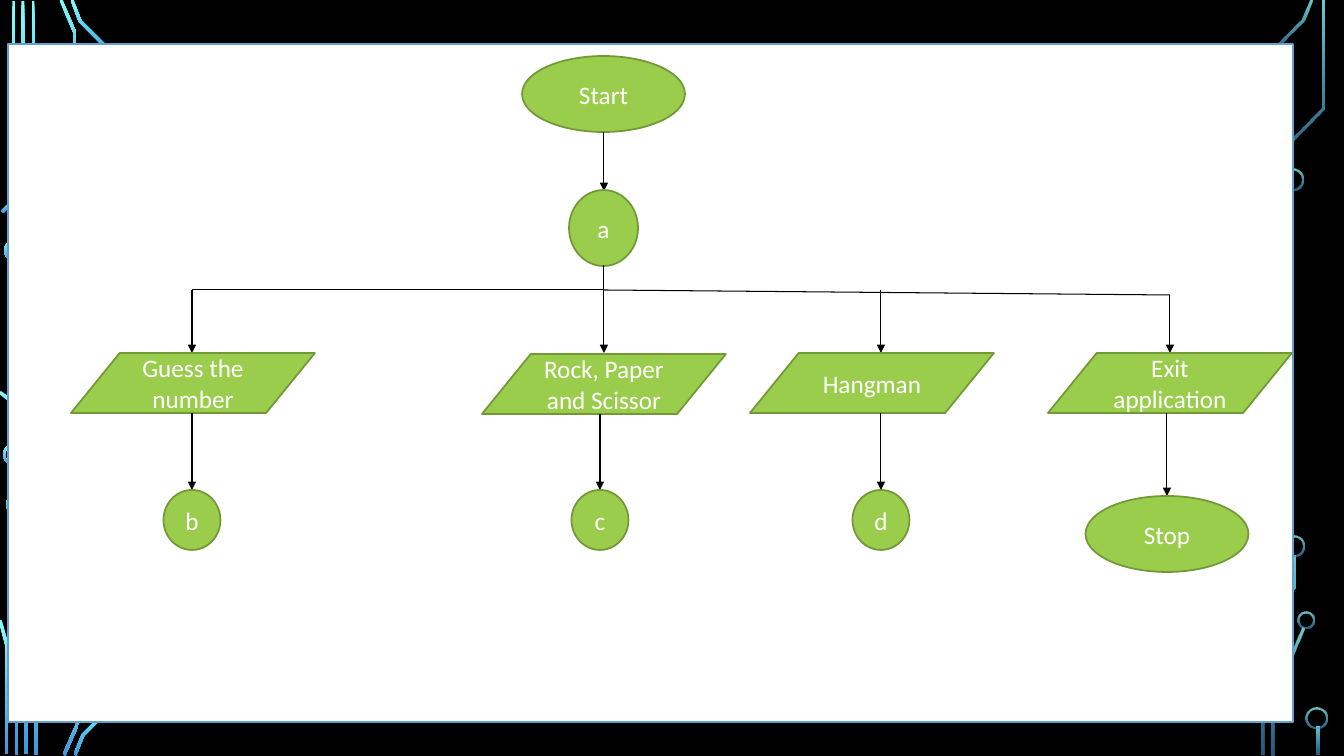
from dataclasses import dataclass
from math import hypot

from lxml.etree import SubElement
from pptx import Presentation
from pptx.dml.color import RGBColor
from pptx.enum.shapes import MSO_CONNECTOR, MSO_SHAPE
from pptx.enum.text import MSO_ANCHOR, PP_ALIGN
from pptx.oxml.ns import qn
from pptx.util import Pt

SCALE = 12192000 / 1344


@dataclass(frozen=True)
class Theme:
    """Colours, font and sizes of the flowchart."""
    backdrop: str = "000000"
    panel: str = "FFFFFF"
    panel_edge: str = "63A0CC"
    node: str = "9ACD4C"
    node_edge: str = "729838"
    label: str = "FFFFFF"
    arrow: str = "000000"
    circuit: tuple = ("82FFFF", "3D97DE")
    font: str = "Calibri"
    label_size: float = 18
    edge_width: float = 1.25
    arrow_width: float = 0.75
    trace_width: int = 3


def emu(pixels):
    """Turn pixels into EMU."""
    return round(pixels * SCALE)


def apply(target, formats):
    """Set each format value on the target."""
    for name, value in formats.items():
        setattr(target, name, value)


def ribbon_side(points, offset):
    """Shift a polyline sideways, mitring its corners."""
    normals = []
    for (x1, y1), (x2, y2) in zip(points, points[1:]):
        length = hypot(x2 - x1, y2 - y1)
        normals.append(((y1 - y2) / length, (x2 - x1) / length))
    side = []
    for (x, y), (ax, ay), (bx, by) in zip(points, normals[:1] + normals, normals + normals[-1:]):
        reach = offset / (1 + ax * bx + ay * by)
        side.append((x + (ax + bx) * reach, y + (ay + by) * reach))
    return side


class SlideArtist:
    """Draws themed elements on one slide."""

    def __init__(self, slide, theme):
        """Keep the slide and theme, and paint the background."""
        self.slide, self.theme = slide, theme
        slide.background.fill.solid()
        slide.background.fill.fore_color.rgb = RGBColor.from_string(theme.backdrop)

    def box(self, kind, left, top, width, height, fill, edge):
        """Add a filled and outlined preset shape."""
        shape = self.slide.shapes.add_shape(kind, *map(emu, (left, top, width, height)))
        shape.shadow.inherit = False
        shape.fill.solid()
        shape.fill.fore_color.rgb = RGBColor.from_string(fill)
        shape.line.color.rgb = RGBColor.from_string(edge)
        shape.line.width = Pt(self.theme.edge_width)
        return shape

    def node(self, kind, left, top, width, height, label):
        """Add a labelled flowchart step."""
        theme = self.theme
        step = self.box(kind, left, top, width, height, theme.node, theme.node_edge)
        apply(step.text_frame, {"word_wrap": True, "vertical_anchor": MSO_ANCHOR.MIDDLE})
        paragraph = step.text_frame.paragraphs[0]
        apply(paragraph, {"text": label, "alignment": PP_ALIGN.CENTER})
        apply(paragraph.font, {"name": theme.font, "size": Pt(theme.label_size)})
        paragraph.font.color.rgb = RGBColor.from_string(theme.label)

    def link(self, start, end, arrow=True):
        """Add a straight line, with an arrowhead at its end if asked."""
        link = self.slide.shapes.add_connector(MSO_CONNECTOR.STRAIGHT, *map(emu, start + end))
        link.line.color.rgb = RGBColor.from_string(self.theme.arrow)
        link.line.width = Pt(self.theme.arrow_width)
        if arrow:
            SubElement(link.line._get_or_add_ln(), qn("a:tailEnd"), type="triangle")
        SubElement(link._element.spPr, qn("a:effectLst"))

    def glow(self, shape, opacities):
        """Fill a circuit part with the vertical gradient."""
        shape.shadow.inherit = False
        shape.line.fill.background()
        shape.fill.gradient()
        shape.fill.gradient_angle = 270
        for stop, colour, opacity in zip(shape.fill.gradient_stops, self.theme.circuit, opacities):
            stop.color.rgb = RGBColor.from_string(colour)
            if opacity < 100:
                for tint in stop._gs.iter(qn("a:srgbClr")):
                    SubElement(tint, qn("a:alpha"), val=str(opacity * 1000))

    def trace(self, points, opacities):
        """Add a circuit track along the points."""
        half = self.theme.trace_width / 2
        outline = ribbon_side(points, half) + ribbon_side(points, -half)[::-1]
        corners = [(emu(x), emu(y)) for x, y in outline]
        builder = self.slide.shapes.build_freeform(*corners[0], scale=1.0)
        builder.add_line_segments(corners[1:], close=True)
        self.glow(builder.convert_to_shape(), opacities)

    def ring(self, left, top, size, opacities):
        """Add a round circuit terminal."""
        ring = self.slide.shapes.add_shape(MSO_SHAPE.DONUT, *map(emu, (left, top, size, size)))
        ring.adjustments[0] = 2 / size
        self.glow(ring, opacities)


LEFT_TRACES = [
    [(14, 1), (14, 242)],
    [(23, 1), (23, 110), (61, 200)],
    [(33, 1), (33, 67), (72, 157)],
    [(61, 0), (75, 33), (75, 101)],
    [(72, 0), (80, 21), (116, 57)],
    [(14, 200), (2, 212)],
    [(0, 392), (14, 404), (14, 445)],
    [(17, 514), (17, 755)],
    [(26, 754), (26, 646), (64, 556)],
    [(7, 754), (7, 646), (0, 620)],
    [(36, 755), (36, 688), (74, 598)],
    [(64, 755), (78, 723), (78, 655)],
    [(75, 755), (83, 735), (119, 699)],
]
RIGHT_TRACES = [
    [(1267, 56), (1303, 20), (1311, 0)],
    [(1273, 755), (1273, 699), (1303, 628)],
    [(1292, 170), (1292, 140), (1323, 108), (1323, 1)],
    [(1294, 556), (1294, 588), (1263, 618), (1263, 755)],
    [(1318, 727), (1318, 755)],
]
LEFT_RINGS = [(4, 240, 21), (3, 444, 21), (6, 494, 21)]
RIGHT_RINGS = [(1282, 169, 21), (1298, 612, 17), (1283, 536, 21), (1306, 708, 21)]
CIRCUITS = [
    (LEFT_TRACES, LEFT_RINGS, (100, 100)),
    (RIGHT_TRACES, RIGHT_RINGS, (80, 60)),
]

TRUNK, BUS, EXIT_BUS = 604, 290, 295
TERMINAL, JUMP = (163, 76), (57, 60)
CHOICE = (244, 60)
BRANCHES = [
    ("Guess the number", 71, 353, 192, BUS, "b", 192, 490, JUMP),
    ("Rock, Paper and Scissor", 482, 354, TRUNK, 265, "c", 600, 490, JUMP),
    ("Hangman", 750, 353, 881, BUS, "d", 881, 490, JUMP),
    ("Exit application", 1048, 353, 1170, EXIT_BUS, "Stop", 1167, 496, TERMINAL),
]

deck = Presentation()
apply(deck, {"slide_width": emu(1344), "slide_height": emu(756)})
theme = Theme()
artist = SlideArtist(deck.slides.add_slide(deck.slide_layouts[6]), theme)

for traces, rings, opacities in CIRCUITS:
    for points in traces:
        artist.trace(points, opacities)
    for ring in rings:
        artist.ring(*ring, opacities)

artist.box(MSO_SHAPE.RECTANGLE, 8, 44, 1285, 678, theme.panel, theme.panel_edge)
artist.node(MSO_SHAPE.OVAL, 522, 56, *TERMINAL, "Start")
artist.link((TRUNK, 132), (TRUNK, 191))
artist.node(MSO_SHAPE.OVAL, 569, 190, 69, 76, "a")
artist.link((TRUNK, BUS), (192, BUS), arrow=False)
artist.link((TRUNK, BUS), (1170, EXIT_BUS), arrow=False)

for choice, left, top, drop, drop_top, outcome, stem, end_top, size in BRANCHES:
    artist.link((drop, drop_top), (drop, 353))
    artist.node(MSO_SHAPE.FLOWCHART_DATA, left, top, *CHOICE, choice)
    artist.link((stem, top + CHOICE[1]), (stem, end_top))
    artist.node(MSO_SHAPE.OVAL, stem - size[0] / 2, end_top, *size, outcome)

deck.save("out.pptx")
